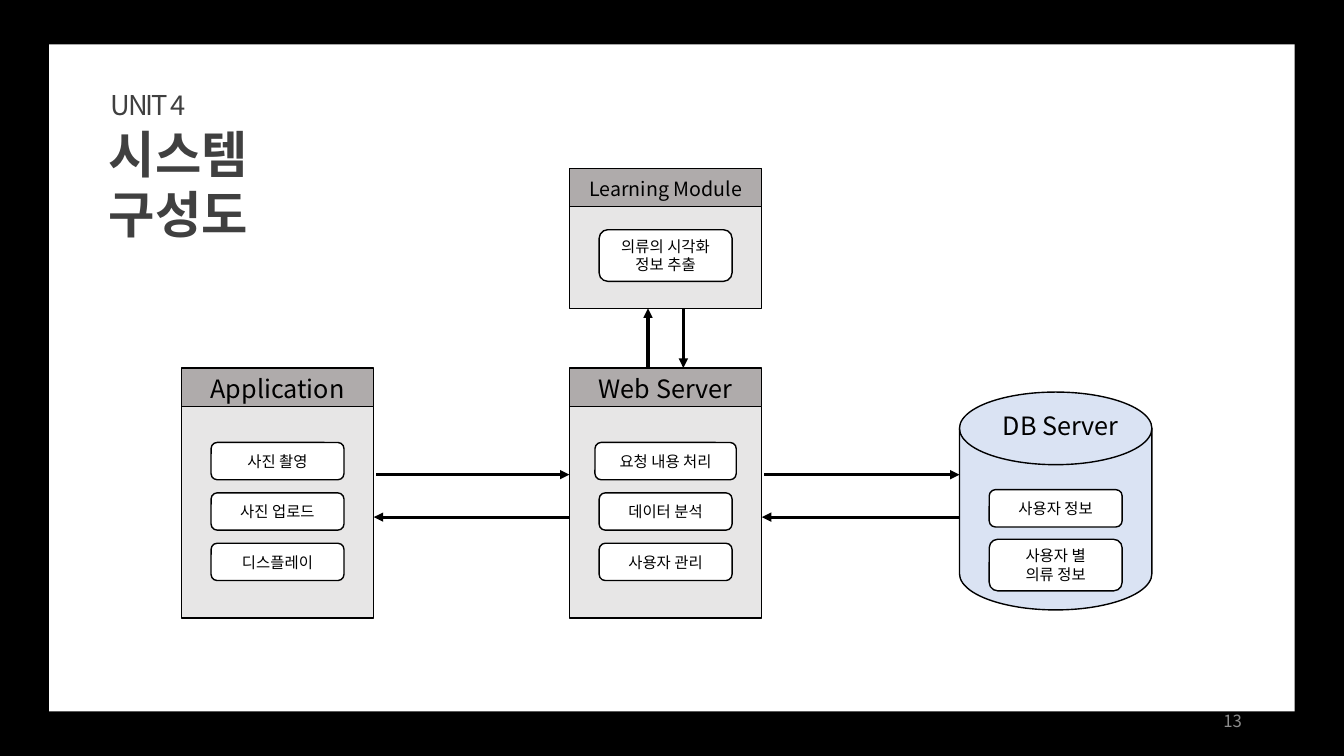
from lxml.etree import SubElement
from pptx import Presentation
from pptx.dml.color import RGBColor
from pptx.enum.shapes import MSO_CONNECTOR, MSO_SHAPE
from pptx.enum.text import MSO_ANCHOR, PP_ALIGN
from pptx.oxml.ns import qn
from pptx.util import Cm, Pt

FONT = "Noto Sans CJK KR"
WIDE = 4.85
PILL = 3.35


def paint(target, tone):
    """Give a fill, line or font a solid colour from a hex string."""
    fill = target if hasattr(target, "solid") else target.fill
    fill.solid()
    fill.fore_color.rgb = RGBColor.from_string(tone)


def write(frame, text, size=11, tone="000000", bold=False, space=0,
          align=PP_ALIGN.CENTER, anchor=MSO_ANCHOR.MIDDLE, wrap=True,
          right=0.25):
    """Put text in a frame, one paragraph for each line."""
    frame.word_wrap = wrap
    frame.vertical_anchor = anchor
    frame.margin_left, frame.margin_right = Cm(0.25), Cm(right)
    for num, line in enumerate(text.split("\n")):
        para = frame.add_paragraph() if num else frame.paragraphs[0]
        para.alignment = align
        run = para.add_run()
        run.text = line
        run.font.size, run.font.bold = Pt(size), bold
        paint(run.font, tone)
        run.font.name = FONT
        props = run.font._element
        SubElement(props, qn("a:ea")).set("typeface", FONT)
        if space:
            props.set("spc", str(space))


def label(slide, box, text, **style):
    """Add a text box with styled text."""
    frame = slide.shapes.add_textbox(*map(Cm, box)).text_frame
    write(frame, text, **style)


def block(slide, kind, box, tone, edge=True, text="", **style):
    """Add a filled preset shape with an optional outline and text."""
    shape = slide.shapes.add_shape(kind, *map(Cm, box))
    shape.shadow.inherit = False
    paint(shape.fill, tone)
    if edge:
        paint(shape.line, "000000")
        shape.line.width = Pt(1)
    else:
        shape.line.fill.background()
    if text:
        write(shape.text_frame, text, **style)


def pill(slide, mid, top, text, wide=PILL, high=0.94):
    """Add a rounded white label centred on a column."""
    block(slide, MSO_SHAPE.ROUNDED_RECTANGLE,
          (mid - wide / 2, top, wide, high), "FFFFFF", text=text)


def card(slide, left, top, high, title, size=18):
    """Add a grey panel with a darker title bar."""
    block(slide, MSO_SHAPE.RECTANGLE, (left, top, WIDE, 1.02), "AFABAB",
          text=title, size=size)
    block(slide, MSO_SHAPE.RECTANGLE, (left, top + 0.97, WIDE, high), "E7E6E6")


def arrow(slide, *ends):
    """Add a thick black arrow from one point to another."""
    line = slide.shapes.add_connector(MSO_CONNECTOR.STRAIGHT, *map(Cm, ends))
    paint(line.line, "000000")
    line.line.width = Pt(2.25)
    SubElement(line.line._get_or_add_ln(), qn("a:tailEnd")).set(
        "type", "triangle")
    SubElement(line._element.spPr, qn("a:effectLst"))


def main():
    """Build the system diagram slide."""
    deck = Presentation()
    deck.slide_width, deck.slide_height = Cm(33.87), Cm(19.05)
    slide = deck.slides.add_slide(deck.slide_layouts[6])
    paint(slide.background.fill, "000000")
    block(slide, MSO_SHAPE.RECTANGLE, (1.24, 1.12, 31.39, 16.81), "FFFFFF",
          edge=False)
    head = {"tone": "404040", "align": PP_ALIGN.LEFT, "anchor": MSO_ANCHOR.TOP}
    label(slide, (2.49, 2.97, 7.77, 1.8), "시스템 구성도", size=36, bold=True,
          right=2.6, **head)
    label(slide, (2.54, 2.11, 2.39, 1.09), "UNIT 4", size=19.5, space=-150,
          wrap=False, **head)

    app, web, data = 4.57, 14.35, 24.18
    tasks = {
        app: ("Application", "사진 촬영", "사진 업로드", "디스플레이"),
        web: ("Web Server", "요청 내용 처리", "데이터 분석", "사용자 관리"),
    }
    for left, (title, *items) in tasks.items():
        card(slide, left, 9.27, 5.33, title)
        for row, item in enumerate(items):
            wide = 3.56 if len(item) > 7 else PILL
            pill(slide, left + WIDE / 2, 11.15 + 1.27 * row, item, wide)
    card(slide, web, 4.24, 2.57, "Learning Module", 14)
    pill(slide, web + WIDE / 2, 5.79, "의류의 시각화 정보 추출", high=1.3)

    block(slide, MSO_SHAPE.FLOWCHART_MAGNETIC_DISK, (data, 9.88, WIDE, 5.49),
          "DAE3F3")
    pill(slide, data + WIDE / 2, 12.34, "사용자 정보")
    pill(slide, data + WIDE / 2, 13.59, "사용자 별\n의류 정보", high=1.3)
    label(slide, (24.31, 10.21, WIDE, 1.02), "DB Server", size=18)

    for left, right in ((app, web), (web, data)):
        arrow(slide, left + WIDE + 0.06, 11.96, right, 11.96)
        arrow(slide, right, 13.03, left + WIDE, 13.03)
    arrow(slide, 17.22, 7.77, 17.22, 9.27)
    arrow(slide, 16.33, 9.27, 16.33, 7.77)
    label(slide, (23.93, 17.65, 7.62, 1.02), "13", size=12, tone="8C8C8C",
          align=PP_ALIGN.RIGHT)
    deck.save("out.pptx")


if __name__ == "__main__":
    main()
